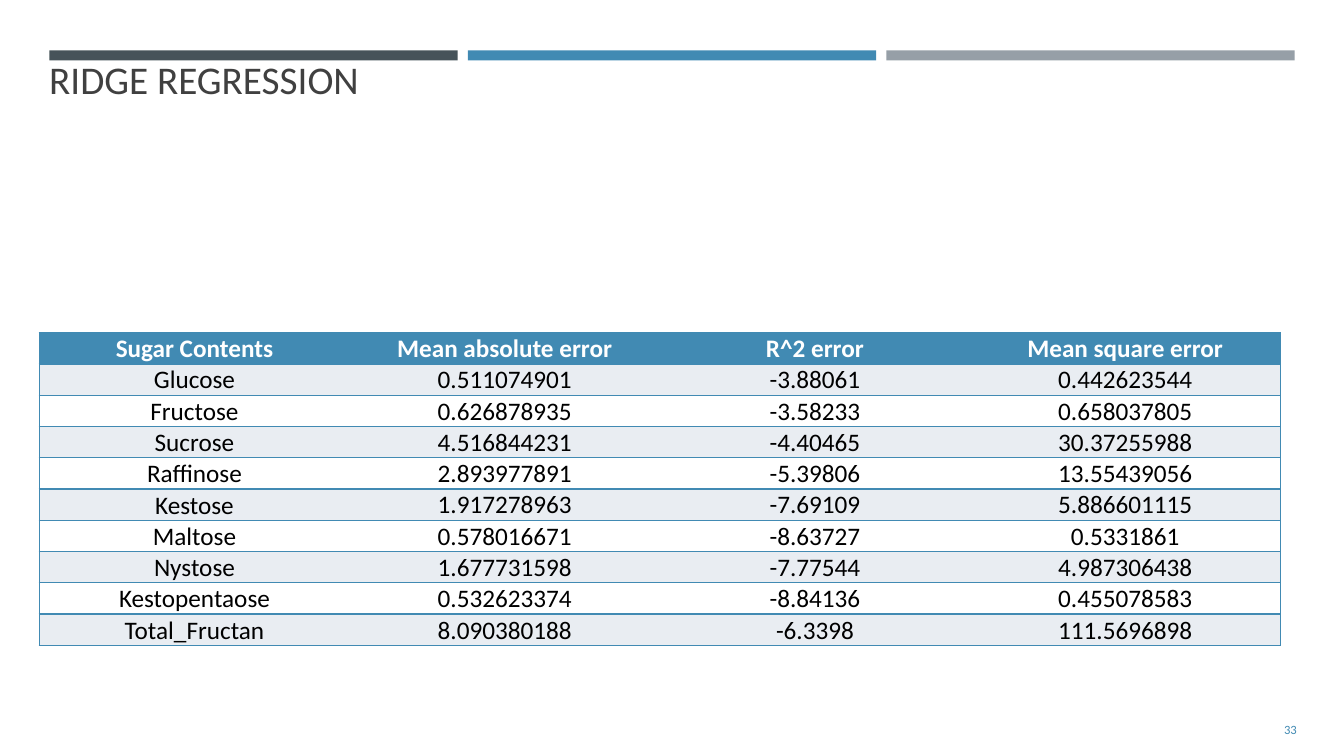
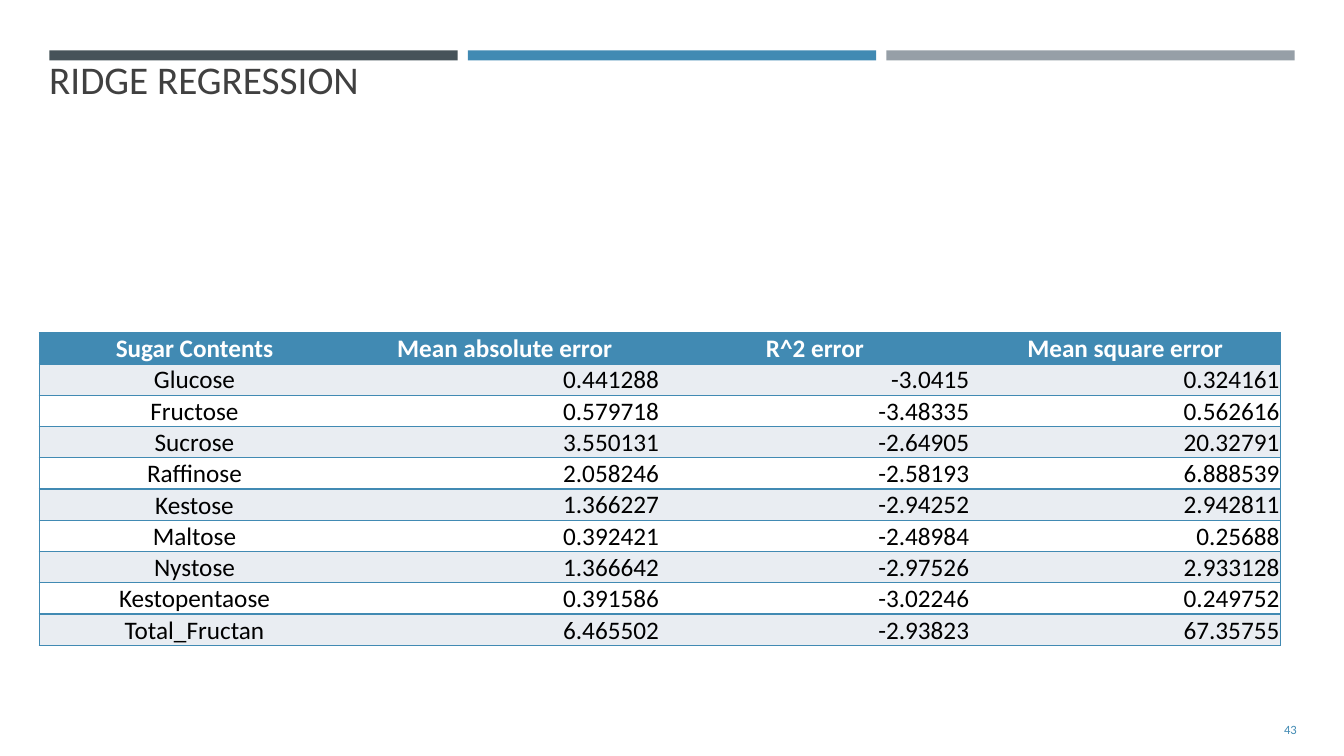
from dataclasses import dataclass

from lxml import etree
from pptx import Presentation
from pptx.dml.color import RGBColor
from pptx.enum.shapes import MSO_SHAPE
from pptx.enum.text import MSO_ANCHOR, PP_ALIGN
from pptx.oxml.ns import qn
from pptx.util import Inches, Pt

RECTANGLE = MSO_SHAPE.RECTANGLE
TOP, MIDDLE, BOTTOM = MSO_ANCHOR.TOP, MSO_ANCHOR.MIDDLE, MSO_ANCHOR.BOTTOM
LEFT, CENTER, RIGHT = PP_ALIGN.LEFT, PP_ALIGN.CENTER, PP_ALIGN.RIGHT
BLANK_LAYOUT = 6


@dataclass(frozen=True)
class Theme:
    font: str = "Calibri"
    slate: str = "465359"
    blue: str = "418AB3"
    grey: str = "969FA7"
    title: str = "404040"
    ink: str = "000000"
    white: str = "FFFFFF"
    stripe: str = "E9EDF2"
    title_size: int = 28
    table_size: int = 18
    number_size: int = 9
    border_width: int = 1


THEME = Theme()

BANDS_BOX = (0.49, 0.5, 12.35, 0.1)
BAND_GAP = 0.1
TITLE_BOX = (0.39, 0.5, 7.67, 1.75)
NUMBER_BOX = (11.81, 7.04, 1.15, 0.4)
TABLE_BOX = (0.39, 3.3, 12.31, 3.1)

HEADERS = ["Sugar Contents", "Mean absolute error", "R^2 error", "Mean square error"]
SUGARS = ["Glucose", "Fructose", "Sucrose", "Raffinose", "Kestose",
          "Maltose", "Nystose", "Kestopentaose", "Total_Fructan"]

SLIDES = [
    {
        "title": "RIDGE REGRESSION",
        "number": "33",
        "value_align": CENTER,
        "errors": [
            ("0.511074901", "-3.88061", "0.442623544"),
            ("0.626878935", "-3.58233", "0.658037805"),
            ("4.516844231", "-4.40465", "30.37255988"),
            ("2.893977891", "-5.39806", "13.55439056"),
            ("1.917278963", "-7.69109", "5.886601115"),
            ("0.578016671", "-8.63727", "0.5331861"),
            ("1.677731598", "-7.77544", "4.987306438"),
            ("0.532623374", "-8.84136", "0.455078583"),
            ("8.090380188", "-6.3398", "111.5696898"),
        ],
    },
    {
        "title": "RIDGE REGRESSION",
        "number": "43",
        "value_align": RIGHT,
        "errors": [
            ("0.441288", "-3.0415", "0.324161"),
            ("0.579718", "-3.48335", "0.562616"),
            ("3.550131", "-2.64905", "20.32791"),
            ("2.058246", "-2.58193", "6.888539"),
            ("1.366227", "-2.94252", "2.942811"),
            ("0.392421", "-2.48984", "0.25688"),
            ("1.366642", "-2.97526", "2.933128"),
            ("0.391586", "-3.02246", "0.249752"),
            ("6.465502", "-2.93823", "67.35755"),
        ],
    },
]


def apply_format(target, values):
    for attribute, value in values.items():
        setattr(target, attribute, value)


def write_text(frame, text, size, color, align, bold=False):
    paragraph = frame.paragraphs[0]
    paragraph.alignment = align
    run = paragraph.add_run()
    run.text = text
    apply_format(run.font, {"name": THEME.font, "size": Pt(size), "bold": bold})
    run.font.color.rgb = RGBColor.from_string(color)


def add_label(slide, box, text, size, color, align, anchor):
    frame = slide.shapes.add_textbox(*map(Inches, box)).text_frame
    apply_format(frame, {"word_wrap": True, "vertical_anchor": anchor})
    write_text(frame, text, size, color, align)


def add_bands(slide, box):
    left, top, width, height = box
    colors = (THEME.slate, THEME.blue, THEME.grey)
    band_width = (width - BAND_GAP * (len(colors) - 1)) / len(colors)
    for index, color in enumerate(colors):
        band_left = left + index * (band_width + BAND_GAP)
        band = slide.shapes.add_shape(
            RECTANGLE, *map(Inches, (band_left, top, band_width, height)))
        band.shadow.inherit = False
        band.fill.solid()
        band.fill.fore_color.rgb = RGBColor.from_string(color)
        band.line.fill.background()


def set_borders(cell, visible_sides):
    properties = cell._tc.get_or_add_tcPr()
    for position, side in enumerate("LRTB"):
        border = etree.Element(qn(f"a:ln{side}"), w=str(Pt(THEME.border_width)))
        if side in visible_sides:
            fill = etree.SubElement(border, qn("a:solidFill"))
            etree.SubElement(fill, qn("a:srgbClr"), val=THEME.blue)
        else:
            etree.SubElement(border, qn("a:noFill"))
        properties.insert(position, border)


def add_error_table(slide, box, errors, value_align):
    rows = [HEADERS] + [[sugar, *values] for sugar, values in zip(SUGARS, errors)]
    last_column = len(HEADERS) - 1
    table = slide.shapes.add_table(len(rows), len(HEADERS), *map(Inches, box)).table
    table.horz_banding = False
    for row_index, row in enumerate(rows):
        is_header = row_index == 0
        if is_header:
            background = THEME.blue
        else:
            background = THEME.stripe if row_index % 2 else THEME.white
        for column, text in enumerate(row):
            is_value = not is_header and column > 0
            cell = table.cell(row_index, column)
            apply_format(cell, {
                "margin_left": Inches(0.01),
                "margin_right": Inches(0.01),
                "margin_top": Inches(0.01),
                "margin_bottom": Inches(0),
                "vertical_anchor": BOTTOM if is_value else MIDDLE,
            })
            cell.fill.solid()
            cell.fill.fore_color.rgb = RGBColor.from_string(background)
            outer_side = {0: "L", last_column: "R"}.get(column, "")
            set_borders(cell, "TB" + outer_side)
            write_text(cell.text_frame, text, THEME.table_size,
                       THEME.white if is_header else THEME.ink,
                       value_align if is_value else CENTER, is_header)


def add_result_slide(presentation, content):
    slide = presentation.slides.add_slide(presentation.slide_layouts[BLANK_LAYOUT])
    add_bands(slide, BANDS_BOX)
    add_label(slide, NUMBER_BOX, content["number"], THEME.number_size,
              THEME.blue, RIGHT, MIDDLE)
    add_error_table(slide, TABLE_BOX, content["errors"], content["value_align"])
    add_label(slide, TITLE_BOX, content["title"], THEME.title_size,
              THEME.title, LEFT, TOP)


def main():
    presentation = Presentation()
    apply_format(presentation, {"slide_width": Inches(13.33), "slide_height": Inches(7.5)})
    for content in SLIDES:
        add_result_slide(presentation, content)
    presentation.save("out.pptx")


if __name__ == "__main__":
    main()
